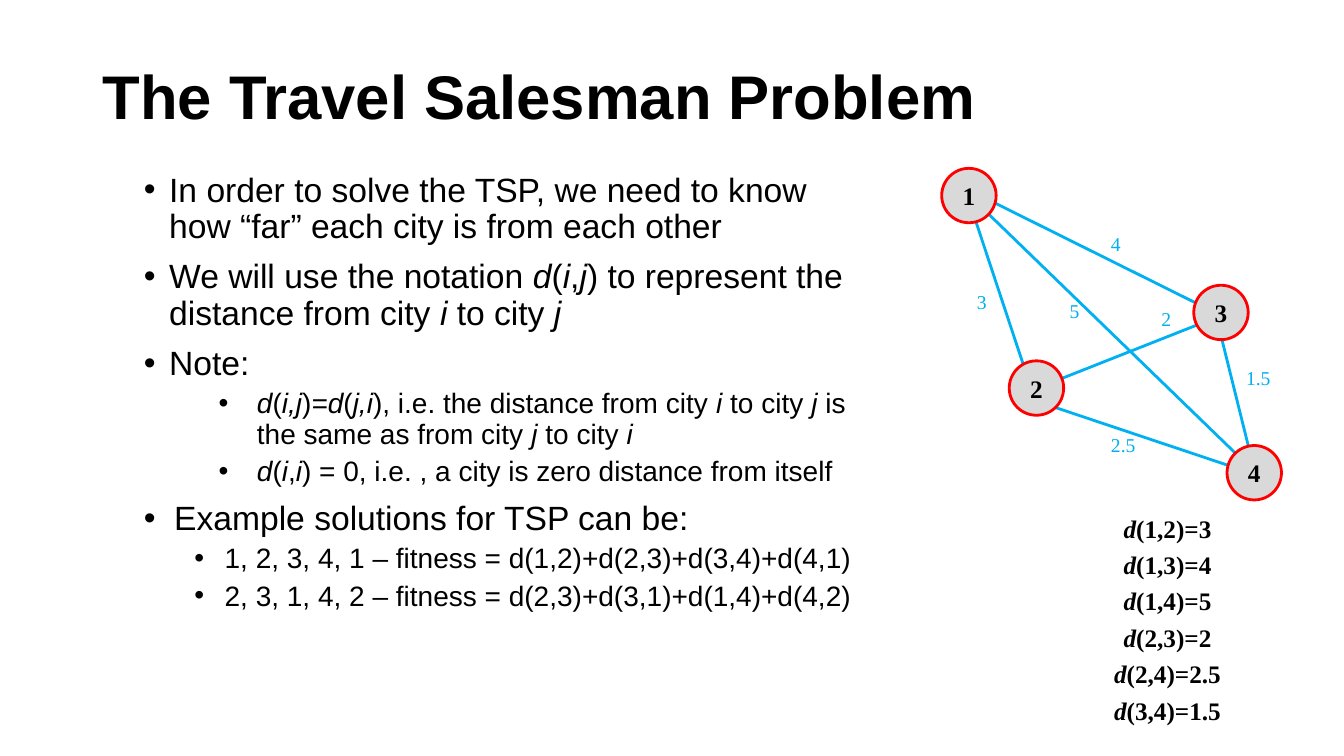
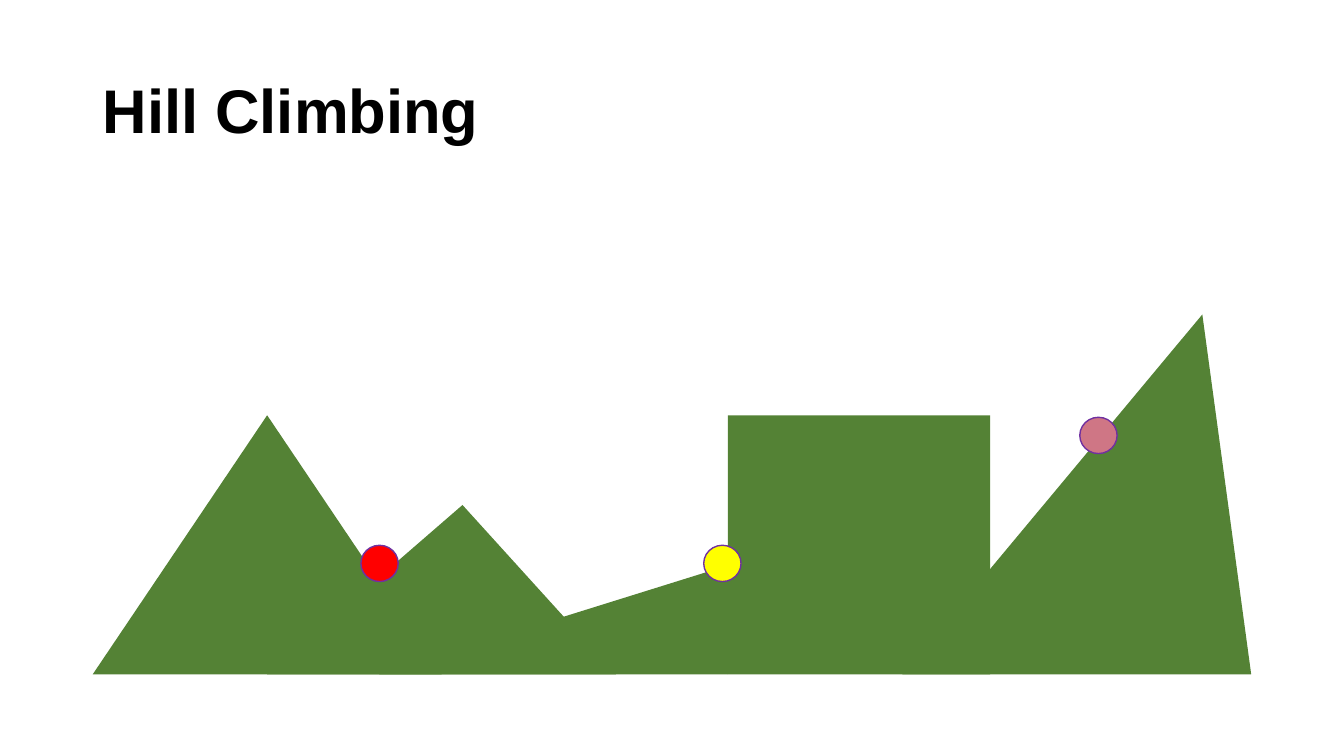
from dataclasses import dataclass

from lxml import etree
from pptx import Presentation
from pptx import util as u
from pptx.dml.color import RGBColor
from pptx.enum import shapes, text
from pptx.oxml import ns

SHAPE = shapes.MSO_SHAPE


@dataclass(frozen=True)
class Theme:
    ink: str = "000000"
    edge: str = "00B0F0"
    node_fill: str = "D9D9D9"
    node_line: str = "FF0000"
    hill: str = "548235"
    ball_line: str = "7030A0"
    sans: str = "Arial"
    serif: str = "Times New Roman"
    title_size: int = 44
    body_size: int = 24
    sub_size: int = 20
    node_size: int = 18
    weight_size: int = 14


class Deck:
    """Holds the style and the current slide."""

    def __init__(self, theme):
        self.theme = theme
        self.prs = Presentation()
        self.prs.slide_width = u.Inches(13.33)
        self.prs.slide_height = u.Inches(7.5)

    def new_slide(self, title, top):
        self.slide = self.prs.slides.add_slide(self.prs.slide_layouts[6])
        frame = self.text_box(0.92, top, 11.5, 1.45)
        frame.vertical_anchor = text.MSO_ANCHOR.MIDDLE
        heading = frame.paragraphs[0]
        heading.line_spacing = 0.9
        self.set_words(heading, title, self.theme.title_size, bold=True)

    def text_box(self, left, top, width, height, wrap=True):
        box = self.slide.shapes.add_textbox(*map(u.Inches, (left, top, width, height)))
        box.text_frame.word_wrap = wrap
        return box.text_frame

    def set_words(self, paragraph, words, size, font=None, color=None, bold=False):
        """Fill a paragraph; words between asterisks become italic."""
        style = paragraph.font
        style.size, style.bold = u.Pt(size), bold
        style.name = font or self.theme.sans
        style.color.rgb = RGBColor.from_string(color or self.theme.ink)
        for index, part in enumerate(words.split("*")):
            if part:
                run = paragraph.add_run()
                run.text = part
                if index % 2:
                    run.font.italic = True

    def bullets(self, frame, items):
        """Each item is (level, text indent, hanging indent, words)."""
        for index, (level, indent, hang, words) in enumerate(items):
            paragraph = frame.add_paragraph() if index else frame.paragraphs[0]
            paragraph.level = level
            paragraph.line_spacing = 0.9
            paragraph.space_before = u.Pt((5 if level else 10) if index else 0)
            props = paragraph._p.get_or_add_pPr()
            props.set("marL", str(u.Inches(indent)))
            props.set("indent", str(-u.Inches(hang)))
            etree.SubElement(props, ns.qn("a:buFont"), typeface=self.theme.sans)
            etree.SubElement(props, ns.qn("a:buChar"), char="•")
            size = self.theme.sub_size if level else self.theme.body_size
            self.set_words(paragraph, words, size)

    def shape(self, kind, left, top, width, height, fill, line=None, line_width=1):
        item = self.slide.shapes.add_shape(
            kind, *map(u.Inches, (left, top, width, height)))
        item.shadow.inherit = False
        item.fill.solid()
        item.fill.fore_color.rgb = RGBColor.from_string(fill)
        if line:
            item.line.color.rgb = RGBColor.from_string(line)
            item.line.width = u.Pt(line_width)
        else:
            item.line.fill.background()
        return item

    def edge(self, start, end):
        line = self.slide.shapes.add_connector(
            shapes.MSO_CONNECTOR.STRAIGHT, *map(u.Inches, start + end))
        line.line.color.rgb = RGBColor.from_string(self.theme.edge)
        line.line.width = u.Pt(2)
        etree.SubElement(line._element.spPr, ns.qn("a:effectLst"))

    def node(self, name, left, top):
        city = self.shape(SHAPE.OVAL, left, top, 0.54, 0.54,
                          self.theme.node_fill, self.theme.node_line, 2)
        frame = city.text_frame
        frame.word_wrap = False
        frame.vertical_anchor = text.MSO_ANCHOR.MIDDLE
        label = frame.paragraphs[0]
        label.alignment = text.PP_ALIGN.CENTER
        self.set_words(label, name, self.theme.node_size, self.theme.serif, bold=True)

    def weight(self, value, left, top):
        width = 0.3 if len(value) == 1 else 0.45
        frame = self.text_box(left, top, width, 0.34, wrap=False)
        self.set_words(frame.paragraphs[0], value, self.theme.weight_size,
                       self.theme.serif, self.theme.edge)

    def hill(self, left, top, width, height, peak=None):
        """A triangle with its peak at a share of the width, or a plateau."""
        kind = SHAPE.RECTANGLE if peak is None else SHAPE.ISOSCELES_TRIANGLE
        item = self.shape(kind, left, top, width, height, self.theme.hill)
        if peak is not None:
            item.adjustments[0] = peak

    def ball(self, left, top, fill):
        self.shape(SHAPE.OVAL, left, top, 0.37, 0.36, fill, self.theme.ball_line)


POINTS = [
    (0, 0.25, 0.25, "In order to solve the TSP, we need to know how “far” "
                    "each city is from each other"),
    (0, 0.25, 0.25, "We will use the notation *d*(*i*,*j*) to represent the "
                    "distance from city *i* to city *j*"),
    (0, 0.25, 0.25, "Note:"),
    (1, 1.12, 0.38, "*d*(*i,j*)*=d*(*j,i*), i.e. the distance from city *i* to city *j* "
                    "is the same as from city *j* to city *i*"),
    (1, 1.12, 0.38, "*d*(*i*,*i*) = 0, i.e. , a city is zero distance from itself"),
    (0, 0.3, 0.3, "Example solutions for TSP can be:"),
    (1, 0.8, 0.3, "1, 2, 3, 4, 1 – fitness = d(1,2)+d(2,3)+d(3,4)+d(4,1)"),
    (1, 0.8, 0.3, "2, 3, 1, 4, 2 – fitness = d(2,3)+d(3,1)+d(1,4)+d(4,2)"),
]

CITIES = {"1": (9.34, 1.67), "2": (10.01, 3.58), "3": (11.84, 2.83), "4": (12.17, 4.42)}

# City pair, distance, line start, line end, label place
ROADS = [
    ("1,2", "3", (9.67, 2.17), (10.15, 3.62), (9.59, 2.83)),
    ("1,3", "4", (9.84, 2), (12.01, 3.08), (10.92, 2.25)),
    ("1,4", "5", (9.76, 2.08), (12.34, 4.58), (10.51, 2.92)),
    ("2,3", "2", (10.34, 3.83), (12.01, 3.17), (11.42, 3)),
    ("2,4", "2.5", (10.34, 4), (12.34, 4.67), (10.92, 4.25)),
    ("3,4", "1.5", (12.09, 3.25), (12.42, 4.58), (12.26, 3.58)),
]

GROUND = 6.69
# Left, top, width, peak position
HILLS = [
    (0.92, 4.12, 3.46, 0.5),
    (3.76, 5.61, 3.46, 1),
    (2.65, 5.01, 3.46, 0.56),
    (8.95, 3.12, 3.46, 0.86),
    (7.22, 4.12, 2.6, None),
]
BALLS = [(3.58, 5.41, "FF0000"), (6.98, 5.41, "FFFF00"), (10.71, 4.14, "CF7685")]


def salesman_slide(deck):
    deck.new_slide("The Travel Salesman Problem", 0.26)
    deck.bullets(deck.text_box(1.33, 1.67, 7.44, 5.27), POINTS)

    # City graph
    for _, _, start, end, _ in ROADS:
        deck.edge(start, end)
    for name, place in CITIES.items():
        deck.node(name, *place)
    for _, distance, _, _, place in ROADS:
        deck.weight(distance, *place)

    # Distance list
    frame = deck.text_box(9.83, 5.04, 3.5, 2.08)
    for index, (pair, distance, *_) in enumerate(ROADS):
        row = frame.add_paragraph() if index else frame.paragraphs[0]
        row.alignment = text.PP_ALIGN.CENTER
        row.space_before = u.Pt(4.4 if index else 0)
        deck.set_words(row, f"*d*({pair})={distance}", deck.theme.node_size,
                       deck.theme.serif, bold=True)


def hill_slide(deck):
    deck.new_slide("Hill Climbing", 0.4)

    # Landscape
    for left, top, width, peak in HILLS:
        deck.hill(left, top, width, GROUND - top, peak)

    # Climbers
    for left, top, fill in BALLS:
        deck.ball(left, top, fill)


def main():
    deck = Deck(Theme())
    salesman_slide(deck)
    hill_slide(deck)
    deck.prs.save("out.pptx")


if __name__ == "__main__":
    main()
